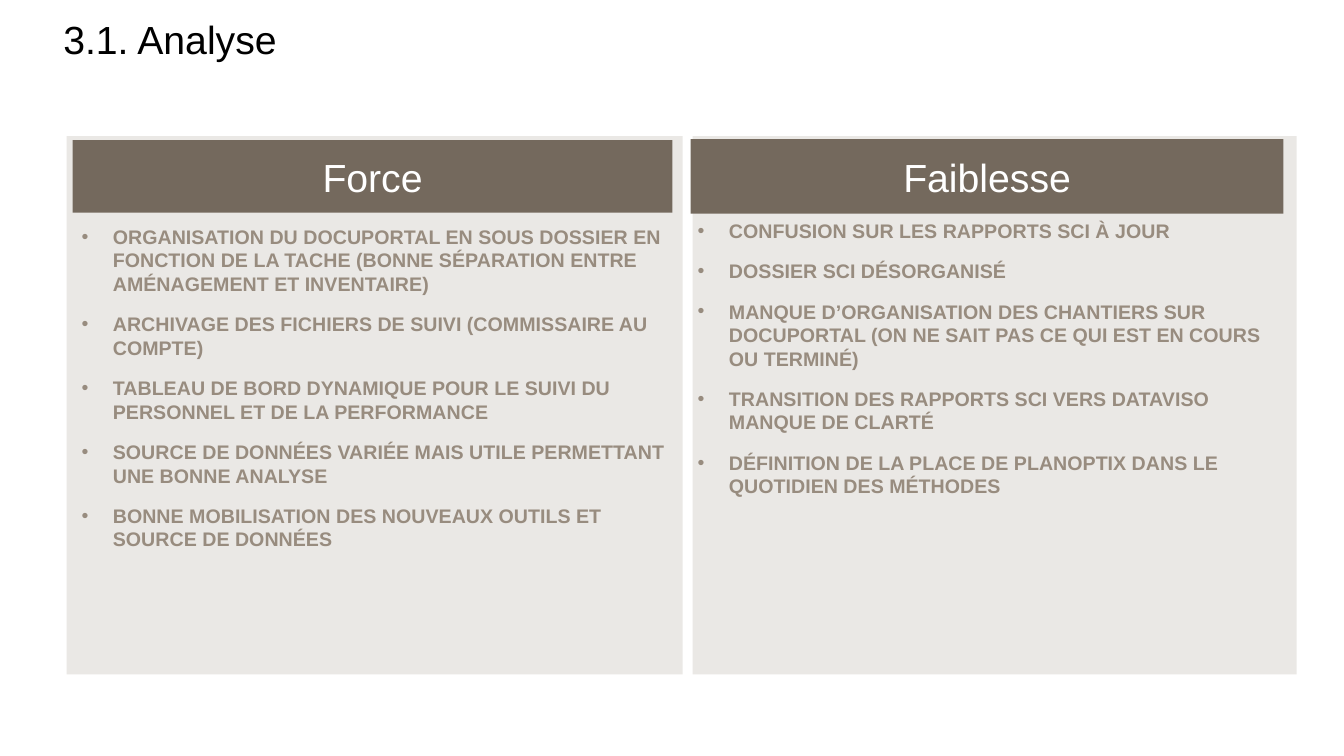
from dataclasses import dataclass

from lxml import etree
from pptx import Presentation
from pptx import util as u
from pptx.dml.color import RGBColor
from pptx.enum import shapes, text
from pptx.oxml import ns

PANEL = RGBColor(0xEA, 0xE8, 0xE5)
HEADER = RGBColor(0x74, 0x69, 0x5D)
BODY = RGBColor(0x98, 0x8C, 0x7F)
WHITE = RGBColor(0xFF, 0xFF, 0xFF)
BLACK = RGBColor(0x00, 0x00, 0x00)
FONT = "Arial"
INDENT = u.Inches(0.31)


@dataclass(frozen=True)
class Box:
    left: float
    top: float
    width: float
    height: float

    def lengths(self) -> list[u.Length]:
        return [u.Inches(n) for n in (self.left, self.top, self.width, self.height)]


@dataclass(frozen=True)
class Column:
    heading: str
    panel: Box
    header: Box
    body: Box
    points: tuple[str, ...]


COLUMNS = (
    Column(
        "Force",
        Box(0.66, 1.35, 6.11, 5.34),
        Box(0.72, 1.39, 5.95, 0.72),
        Box(0.81, 2.23, 5.83, 3.57),
        (
            "ORGANISATION DU DOCUPORTAL EN SOUS DOSSIER EN FONCTION DE LA TACHE "
            "(BONNE SÉPARATION ENTRE AMÉNAGEMENT ET INVENTAIRE)",
            "ARCHIVAGE DES FICHIERS DE SUIVI (COMMISSAIRE AU COMPTE)",
            "TABLEAU DE BORD DYNAMIQUE POUR LE SUIVI DU PERSONNEL ET DE LA PERFORMANCE",
            "SOURCE DE DONNÉES VARIÉE MAIS UTILE PERMETTANT UNE BONNE ANALYSE",
            "BONNE MOBILISATION DES NOUVEAUX OUTILS ET SOURCE DE DONNÉES",
        ),
    ),
    Column(
        "Faiblesse",
        Box(6.87, 1.35, 5.99, 5.34),
        Box(6.85, 1.38, 5.88, 0.74),
        Box(6.92, 2.17, 5.81, 3.57),
        (
            "CONFUSION SUR LES RAPPORTS SCI À JOUR",
            "DOSSIER SCI DÉSORGANISÉ",
            "MANQUE D’ORGANISATION DES CHANTIERS SUR DOCUPORTAL "
            "(ON NE SAIT PAS CE QUI EST EN COURS OU TERMINÉ)",
            "TRANSITION DES RAPPORTS SCI VERS DATAVISO MANQUE DE CLARTÉ",
            "DÉFINITION DE LA PLACE DE PLANOPTIX DANS LE QUOTIDIEN DES MÉTHODES",
        ),
    ),
)


def write(paragraph, content: str, *, size: float, color: RGBColor,
          bold: bool = False, align=text.PP_ALIGN.LEFT) -> None:
    paragraph.alignment = align
    run = paragraph.add_run()
    run.text = content
    run.font.name = FONT
    run.font.size = u.Pt(size)
    run.font.bold = bold
    run.font.color.rgb = color


def add_bullet(paragraph) -> None:
    properties = paragraph._p.get_or_add_pPr()
    properties.set("marL", str(INDENT))
    properties.set("indent", str(-INDENT))
    etree.SubElement(properties, ns.qn("a:buFont")).set("typeface", FONT)
    etree.SubElement(properties, ns.qn("a:buChar")).set("char", "•")


def add_rectangle(slide, box: Box, fill: RGBColor):
    rectangle = slide.shapes.add_shape(shapes.MSO_SHAPE.RECTANGLE, *box.lengths())
    rectangle.shadow.inherit = False
    rectangle.fill.solid()
    rectangle.fill.fore_color.rgb = fill
    rectangle.line.fill.background()
    return rectangle


def add_text_frame(slide, box: Box):
    frame = slide.shapes.add_textbox(*box.lengths()).text_frame
    frame.word_wrap = True
    return frame


def add_points(slide, box: Box, points: tuple[str, ...]) -> None:
    frame = add_text_frame(slide, box)
    frame.margin_left = frame.margin_right = 0
    frame.margin_top = frame.margin_bottom = 0
    for index, point in enumerate(points):
        paragraph = frame.add_paragraph() if index else frame.paragraphs[0]
        add_bullet(paragraph)
        paragraph.space_before = u.Pt(6 if index else 0)
        paragraph.space_after = u.Pt(6)
        write(paragraph, point, size=14, color=BODY, bold=True)


def add_column(slide, column: Column) -> None:
    add_rectangle(slide, column.panel, PANEL)
    header = add_rectangle(slide, column.header, HEADER).text_frame
    header.vertical_anchor = text.MSO_ANCHOR.MIDDLE
    write(header.paragraphs[0], column.heading, size=28, color=WHITE,
          align=text.PP_ALIGN.CENTER)
    add_points(slide, column.body, column.points)


def main() -> None:
    deck = Presentation()
    deck.slide_width = u.Inches(13.33)
    deck.slide_height = u.Inches(7.5)
    slide = deck.slides.add_slide(deck.slide_layouts[6])
    for column in COLUMNS:
        add_column(slide, column)
    title = add_text_frame(slide, Box(0.53, 0.16, 10.24, 0.53)).paragraphs[0]
    title.line_spacing = 0.9
    title.space_after = u.Pt(2)
    write(title, "3.1. Analyse", size=28, color=BLACK)
    deck.save("out.pptx")


if __name__ == "__main__":
    main()
